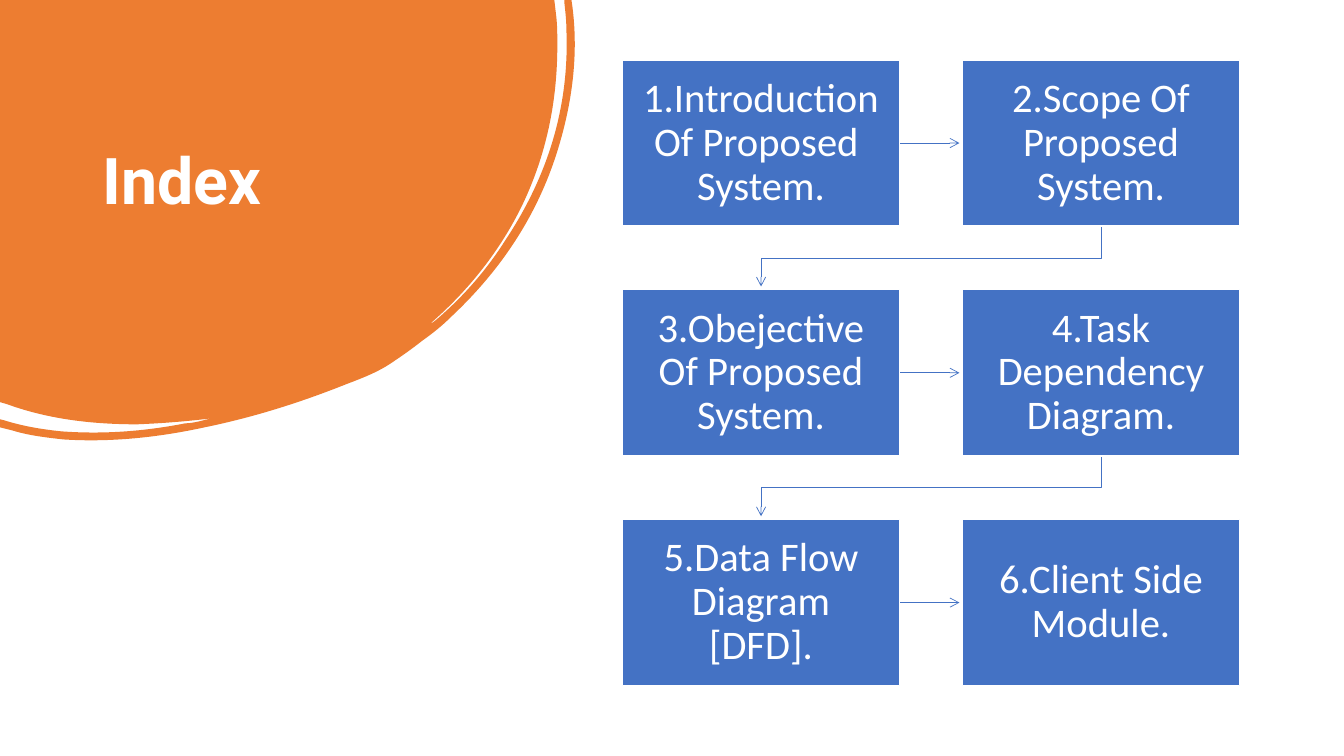
from lxml.etree import SubElement
from pptx import Presentation
from pptx.dml.color import RGBColor
from pptx.enum.shapes import MSO_SHAPE
from pptx.enum.text import MSO_ANCHOR as Anchor, PP_ALIGN as Align
from pptx.oxml.ns import qn
from pptx.util import Cm, Pt

ORANGE = RGBColor(0xED, 0x7D, 0x31)
BLUE = RGBColor(0x44, 0x72, 0xC4)
WHITE = RGBColor(0xFF, 0xFF, 0xFF)

INCH = Cm(2.54)

BOX_LEFT, BOX_TOP = Cm(15.69), Cm(1.51)
BOX_WIDTH, BOX_HEIGHT = Cm(6.98), Cm(4.19)
COLUMN_STEP, ROW_STEP = Cm(8.57), Cm(5.79)
ARROW_GAP = Cm(0.08)
ARROW_HALF_HEIGHT = Cm(0.12)
COLUMNS = 2

TOPICS = [
    "1.Introduction Of Proposed  System.",
    "2.Scope Of Proposed System.",
    "3.Obejective Of Proposed System.",
    "4.Task Dependency Diagram.",
    "5.Data Flow Diagram [DFD].",
    "6.Client Side Module.",
]

# Inches from the slide corner: two numbers are a line, six a Bézier curve.
BLOB_SIZE = (5.71, 4.37)
BLOB_START = (0, 0)
BLOB_SEGMENTS = [
    (5.5, 0), (5.52, 0.17),
    (5.53, 0.26, 5.53, 0.36, 5.53, 0.45),
    (5.53, 1.01, 5.42, 1.54, 5.18, 2.04),
    (4.96, 2.49, 4.65, 2.88, 4.27, 3.21),
    (4.29, 3.21, 4.3, 3.19, 4.32, 3.18),
    (4.59, 2.95, 4.82, 2.69, 5.01, 2.39),
    (5.43, 1.76, 5.65, 1.07, 5.62, 0.3),
    (5.62, 0.21, 5.61, 0.12, 5.6, 0.03),
    (5.6, 0), (5.67, 0), (5.68, 0.07),
    (5.74, 0.54, 5.68, 1.02, 5.53, 1.5),
    (5.33, 2.14, 4.97, 2.68, 4.48, 3.14),
    (4.39, 3.23, 4.29, 3.31, 4.19, 3.38),
    (4.09, 3.46, 3.99, 3.53, 3.87, 3.61),
    (3.75, 3.69, 3.6, 3.75, 3.44, 3.81),
    (2.99, 3.99, 2.52, 4.14, 2.03, 4.24),
    (1.57, 4.34, 1.1, 4.39, 0.63, 4.36),
    (0.45, 4.34, 0.28, 4.32, 0.12, 4.27),
    (0, 4.24), (0, 4.16), (0.04, 4.17),
    (0.23, 4.23, 0.42, 4.26, 0.61, 4.28),
    (1.03, 4.31, 1.43, 4.28, 1.84, 4.2),
    (1.89, 4.2, 1.93, 4.19, 1.98, 4.18),
    (2.02, 4.17, 2.06, 4.16, 2.1, 4.15),
    (1.86, 4.18, 1.61, 4.2, 1.36, 4.21),
    (0.92, 4.21, 0.48, 4.16, 0.07, 4.01),
    (0, 3.99),
]


def add_outline(slide, corner, opposite, start, segments, close=False):
    """Draw lines and cubic curves in the frame between two corners."""
    builder = slide.shapes.build_freeform(*corner)
    builder.add_line_segments([opposite], close=False)
    shape = builder.convert_to_shape()
    shape.shadow.inherit = False
    outline = next(shape._element.iter(qn("a:path")))
    for step in list(outline):
        outline.remove(step)

    def add_step(tag, numbers):
        step = SubElement(outline, qn(tag))
        for x, y in zip(numbers[::2], numbers[1::2]):
            SubElement(step, qn("a:pt"), x=str(x - corner[0]), y=str(y - corner[1]))

    add_step("a:moveTo", start)
    for segment in segments:
        add_step("a:lnTo" if len(segment) == 2 else "a:cubicBezTo", segment)
    if close:
        SubElement(outline, qn("a:close"))
    return shape


def from_inches(numbers):
    return tuple(round(number * INCH) for number in numbers)


def add_blob(slide):
    blob = add_outline(
        slide, (0, 0), from_inches(BLOB_SIZE), from_inches(BLOB_START),
        [from_inches(segment) for segment in BLOB_SEGMENTS], close=True)
    blob.fill.solid()
    blob.fill.fore_color.rgb = ORANGE
    blob.line.fill.background()


def format_text(paragraph, font_name, size, bold=False):
    paragraph.line_spacing = 0.9
    for run in paragraph.runs:
        run.font.name = font_name
        run.font.size = Pt(size)
        run.font.bold = bold
        run.font.color.rgb = WHITE


def add_title(slide, text):
    frame = slide.shapes.add_textbox(Cm(2.34), Cm(1.8), Cm(8.94), Cm(5.64)).text_frame
    frame.word_wrap = True
    frame.vertical_anchor = Anchor.MIDDLE
    frame.text = text
    format_text(frame.paragraphs[0], "Roboto", 46, bold=True)


def add_topic_box(slide, text, left, top):
    box = slide.shapes.add_shape(MSO_SHAPE.RECTANGLE, left, top, BOX_WIDTH, BOX_HEIGHT)
    box.shadow.inherit = False
    box.fill.solid()
    box.fill.fore_color.rgb = BLUE
    box.line.color.rgb = WHITE
    box.line.width = Pt(1)
    frame = box.text_frame
    frame.word_wrap = True
    frame.vertical_anchor = Anchor.MIDDLE
    frame.margin_left = frame.margin_right = Cm(0.34)
    frame.margin_top = frame.margin_bottom = Cm(0.36)
    frame.text = text
    frame.paragraphs[0].alignment = Align.CENTER
    format_text(frame.paragraphs[0], "Calibri", 29)


def add_arrow(slide, corner, opposite, points):
    arrow = add_outline(slide, corner, opposite, points[0], points[1:])
    arrow.fill.background()
    arrow.line.color.rgb = BLUE
    arrow.line.width = Pt(0.5)
    outline = arrow._element.spPr.find(qn("a:ln"))
    SubElement(outline, qn("a:tailEnd"), type="arrow")


def add_arrow_across(slide, left, top):
    """Point from the box at left, top to its right neighbour."""
    start_x = left + BOX_WIDTH
    end_x = left + COLUMN_STEP - ARROW_GAP
    middle = top + BOX_HEIGHT // 2
    add_arrow(slide, (start_x, middle - ARROW_HALF_HEIGHT),
              (end_x, middle + ARROW_HALF_HEIGHT),
              [(start_x, middle), (end_x, middle)])


def add_arrow_to_next_row(slide, left, top):
    """Point from the last box of a row to the first box of the next."""
    start_x = left + BOX_WIDTH // 2
    end_x = BOX_LEFT + BOX_WIDTH // 2
    start_y = top + BOX_HEIGHT
    bend_y = (start_y + top + ROW_STEP) // 2
    end_y = top + ROW_STEP - ARROW_GAP
    add_arrow(slide, (end_x, start_y), (start_x, end_y),
              [(start_x, start_y), (start_x, bend_y), (end_x, bend_y), (end_x, end_y)])


def main():
    presentation = Presentation()
    presentation.slide_width = Cm(33.87)
    presentation.slide_height = Cm(19.05)
    slide = presentation.slides.add_slide(presentation.slide_layouts[6])

    add_blob(slide)
    add_title(slide, "Index")
    for index, topic in enumerate(TOPICS):
        row, column = divmod(index, COLUMNS)
        left = BOX_LEFT + column * COLUMN_STEP
        top = BOX_TOP + row * ROW_STEP
        if column < COLUMNS - 1:
            add_arrow_across(slide, left, top)
        elif index < len(TOPICS) - 1:
            add_arrow_to_next_row(slide, left, top)
        add_topic_box(slide, topic, left, top)

    presentation.save("out.pptx")


if __name__ == "__main__":
    main()
